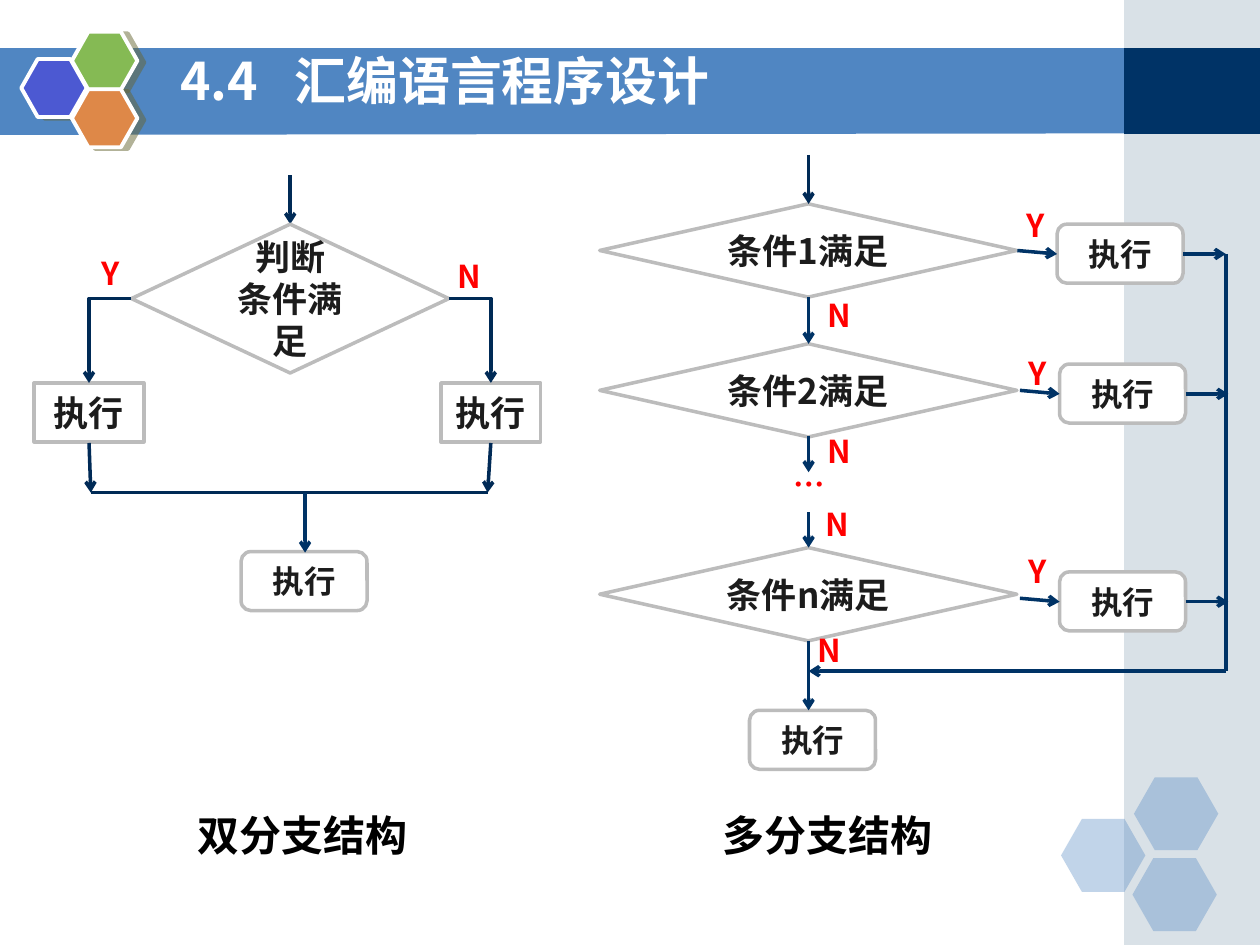
from lxml import etree
from pptx import Presentation
from pptx import util as u
from pptx.dml.color import RGBColor
from pptx.enum import shapes, text
from pptx.oxml.ns import qn

FONT = "Noto Sans CJK SC"
NAVY, DEEP = "003366", "002A56"
KIND = shapes.MSO_SHAPE
ALIGN = text.PP_ALIGN


def tint(color):
    return RGBColor.from_string(color)


def sub(node, tag, **attrs):
    return etree.SubElement(node, qn(tag), **attrs)


def write(shape, words, size, color, align=ALIGN.CENTER, stop=None):
    frame = shape.text_frame
    frame.word_wrap = True
    frame.vertical_anchor = text.MSO_ANCHOR.MIDDLE
    frame.text = words
    for para in frame.paragraphs:
        para.alignment = align
        if stop:
            tabs = sub(para._p.get_or_add_pPr(), "a:tabLst")
            sub(tabs, "a:tab", pos=str(u.Cm(stop)), algn="l")
        font = para.font
        font.size, font.bold, font.name = u.Pt(size), True, FONT
        font.color.rgb = tint(color)
        sub(font._rPr, "a:ea", typeface=FONT)


class Board:
    """Draws items in cm, measured from the corner of a region."""

    def __init__(self, slide, left, top):
        self.items, self.left, self.top = slide.shapes, left, top

    def spot(self, x, y):
        return u.Cm(self.left + x), u.Cm(self.top + y)

    def shape(self, kind, x, y, w, h, fill=None, line=None, width=2, alpha=None):
        item = self.items.add_shape(kind, *self.spot(x, y), u.Cm(w), u.Cm(h))
        item.shadow.inherit = False
        if fill:
            item.fill.solid()
            item.fill.fore_color.rgb = tint(fill)
        else:
            item.fill.background()
        if alpha:
            paint = item._element.spPr.find(qn("a:solidFill") + "/" + qn("a:srgbClr"))
            sub(paint, "a:alpha", val=str(alpha * 1000))
        if line:
            item.line.color.rgb = tint(line)
            item.line.width = u.Pt(width)
        else:
            item.line.fill.background()
        return item

    def node(self, kind, words, x, y, w, h, size=20):
        write(self.shape(kind, x, y, w, h, "FFFFFF", "BCBCBC"), words, size, "1C1C1C")

    def step(self, x, y):
        self.node(KIND.FLOWCHART_ALTERNATE_PROCESS, "执行", x, y, 2.54, 1.19, 18)

    def label(self, words, x, y):
        item = self.shape(KIND.FLOWCHART_PROCESS, x, y, 1.65, 0.86)
        write(item, words, 18, "FF0000")

    def note(self, words, x, y, w, h, size, color, **style):
        item = self.items.add_textbox(*self.spot(x, y), u.Cm(w), u.Cm(h))
        write(item, words, size, color, **style)
        return item

    def line(self, x1, y1, x2, y2, color=NAVY, head=True, bent=False):
        kind = shapes.MSO_CONNECTOR.ELBOW if bent else shapes.MSO_CONNECTOR.STRAIGHT
        item = self.items.add_connector(kind, *self.spot(x1, y1), *self.spot(x2, y2))
        item.line.color.rgb = tint(color)
        item.line.width = u.Pt(2)
        props = item._element.spPr
        if bent:
            props.find(qn("a:prstGeom")).set("prst", "bentConnector2")
        if head:
            sub(props.find(qn("a:ln")), "a:tailEnd", type="arrow")
        sub(props, "a:effectLst")


def frame(slide):
    """Title band, side panel and hexagon clusters."""
    page = Board(slide, 0, 0)
    edge = [(-0.03, 0.97), (22.73, 0.97), (22.73, 2.69), (-0.03, 2.72)]
    spots = [page.spot(*point) for point in edge]
    pen = slide.shapes.build_freeform(*spots[0])
    pen.add_line_segments(spots[1:])
    band = pen.convert_to_shape()
    band.shadow.inherit = False
    band.fill.solid()
    band.fill.fore_color.rgb = tint("5086C2")
    band.line.fill.background()

    page.shape(KIND.RECTANGLE, 22.66, 0, 2.74, 19.05, "A0B5C4", alpha=40)
    page.shape(KIND.RECTANGLE, 22.66, 0.97, 2.74, 1.73, NAVY)
    for x, y in ((21.39, 16.51), (22.86, 15.67), (22.83, 17.3)):
        item = page.shape(KIND.HEXAGON, x, y, 1.7, 1.47, "5086C2", alpha=35)
        item.adjustments[0] = 0.286
    cells = ((0.43, 1.19, "4C59D2"), (1.45, 0.64, "85BA54"), (1.45, 1.8, "DE8848"))
    for x, y, color in cells:
        item = page.shape(KIND.HEXAGON, x, y, 1.32, 1.17, color, "FFFFFF", 2.25)
        item.adjustments[0] = 0.283
        glow = sub(item._element.spPr.find(qn("a:effectLst")), "a:outerShdw",
                   dist=str(u.Pt(4.1)), dir=str(14 * 60000), algn="ctr", rotWithShape="0")
        sub(sub(glow, "a:srgbClr", val="666633"), "a:alpha", val="50000")

    title = page.note("4.4\t汇编语言程序设计", 3.38, 0.91, 18.62, 1.57, 29.6, "FFFFFF",
                      align=ALIGN.LEFT, stop=2.31)
    title.text_frame.paragraphs[0].line_spacing = 0.9


def fork(slide, left, top):
    """Two-way branch."""
    area = Board(slide, left, top)
    mid, join = 5.16, 6.4
    area.line(mid, 0, mid, 0.99, DEEP)
    area.node(KIND.FLOWCHART_DECISION, "判断\n条件满足", mid - 3.2, 0.99, 6.4, 3)
    sides = (("Y", 0.71, 1.55, 0, 2.21, mid - 3.2, 1.14),
             ("N", 7.95, 1.6, 8.2, 2.01, mid + 3.2, 9.14))
    for words, lx, ly, x, w, tip, end in sides:
        hub = x + w / 2
        area.label(words, lx, ly)
        area.node(KIND.FLOWCHART_PROCESS, "执行", x, 4.19, w, 1.19)
        area.line(tip, 2.49, hub, 4.19, DEEP, bent=True)
        area.line(hub, 5.4, end, join, DEEP)
    area.line(1.14, join, 9.14, join, DEEP, head=False)
    area.step(4.17, 7.59)
    area.line(5.46, join, 5.46, 7.61)
    area.note("双分支结构", 2.41, 12.6, 6, 1.4, 24, "000000")


def chain(slide, left, top):
    """Multi-way branch."""
    area = Board(slide, left, top)
    mid, rail, base = 4.21, 12.62, 10.41
    rows = (("1", 0.99, 9.22, 1.4, 0.99), ("2", 3.81, 9.27, 4.22, 3.96),
            ("n", 7.92, 9.27, 8.41, 7.95))
    for mark, y, x, sy, ly in rows:
        hub = sy + 0.6
        area.node(KIND.FLOWCHART_DECISION, f"条件{mark}满足", 0, y, 8.41, 1.88)
        area.step(x, sy)
        area.label("Y", x - 1.26, ly)
        area.line(x - 0.8, hub - 0.07, x, hub)
        area.line(x + 2.54, hub, x + 3.4, hub)
    area.step(3.02, 11.2)
    area.line(mid, 0, mid, 0.99, DEEP)
    for start, end in ((2.87, 3.81), (5.66, 6.4), (7.21, 7.92), (9.8, 11.2)):
        area.line(mid, start, mid, end)
    area.line(rail, 2, rail, base, head=False)
    area.line(rail, base, mid, base)
    for x, y in ((4.01, 2.79), (4.01, 5.54), (3.96, 7.01), (3.81, 9.55)):
        area.label("N", x, y)
    area.label("…", 3.4, 6.2)
    area.note("多分支结构", 1.6, 13, 6, 1.4, 24, "000000")


def main():
    deck = Presentation()
    deck.slide_width, deck.slide_height = u.Cm(25.4), u.Cm(19.05)
    slide = deck.slides.add_slide(deck.slide_layouts[6])
    frame(slide)
    fork(slide, 0.69, 3.53)
    chain(slide, 12.09, 3.12)
    deck.save("out.pptx")


if __name__ == "__main__":
    main()
